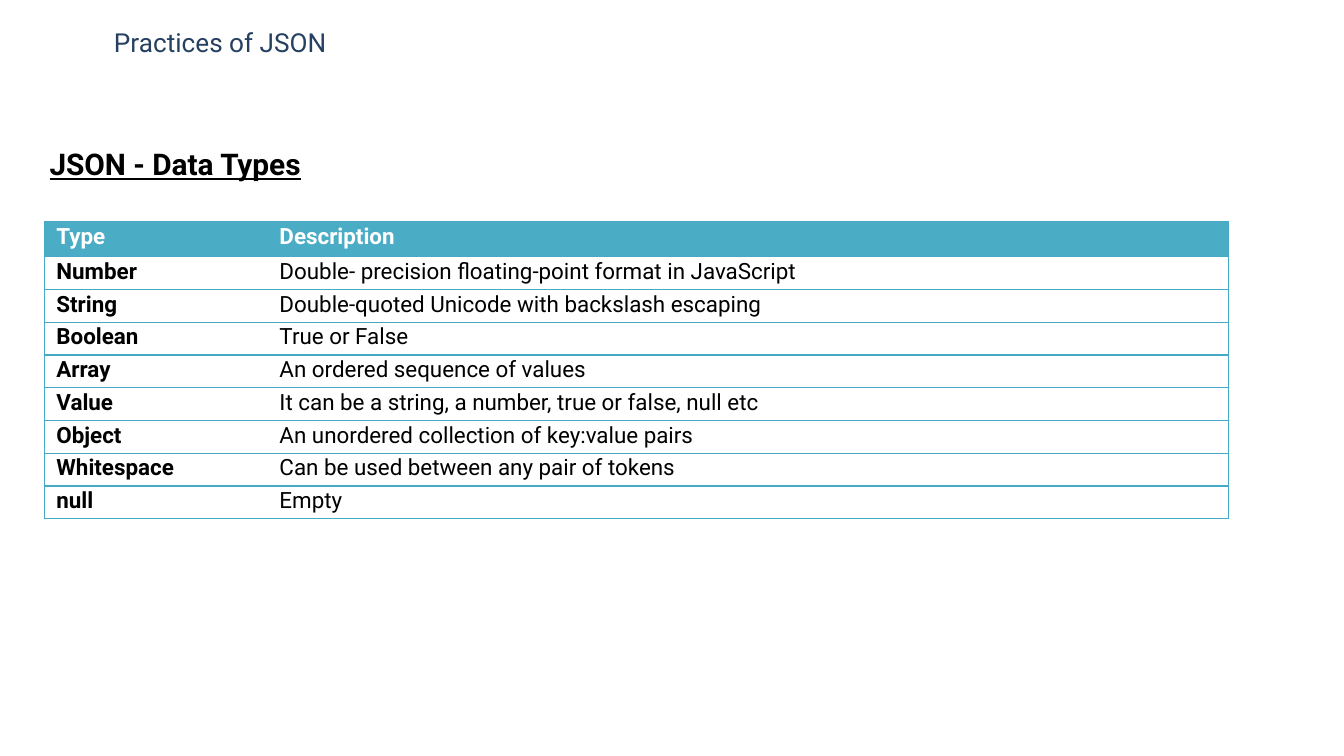
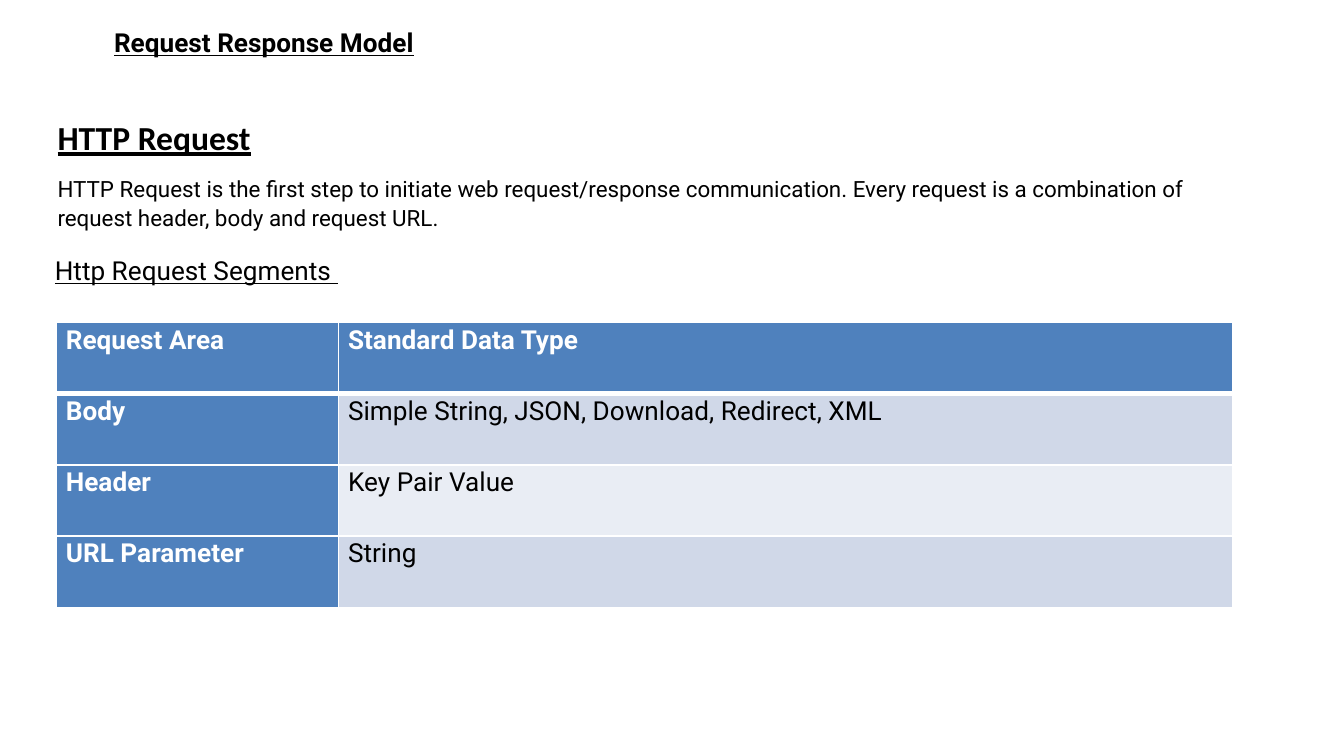
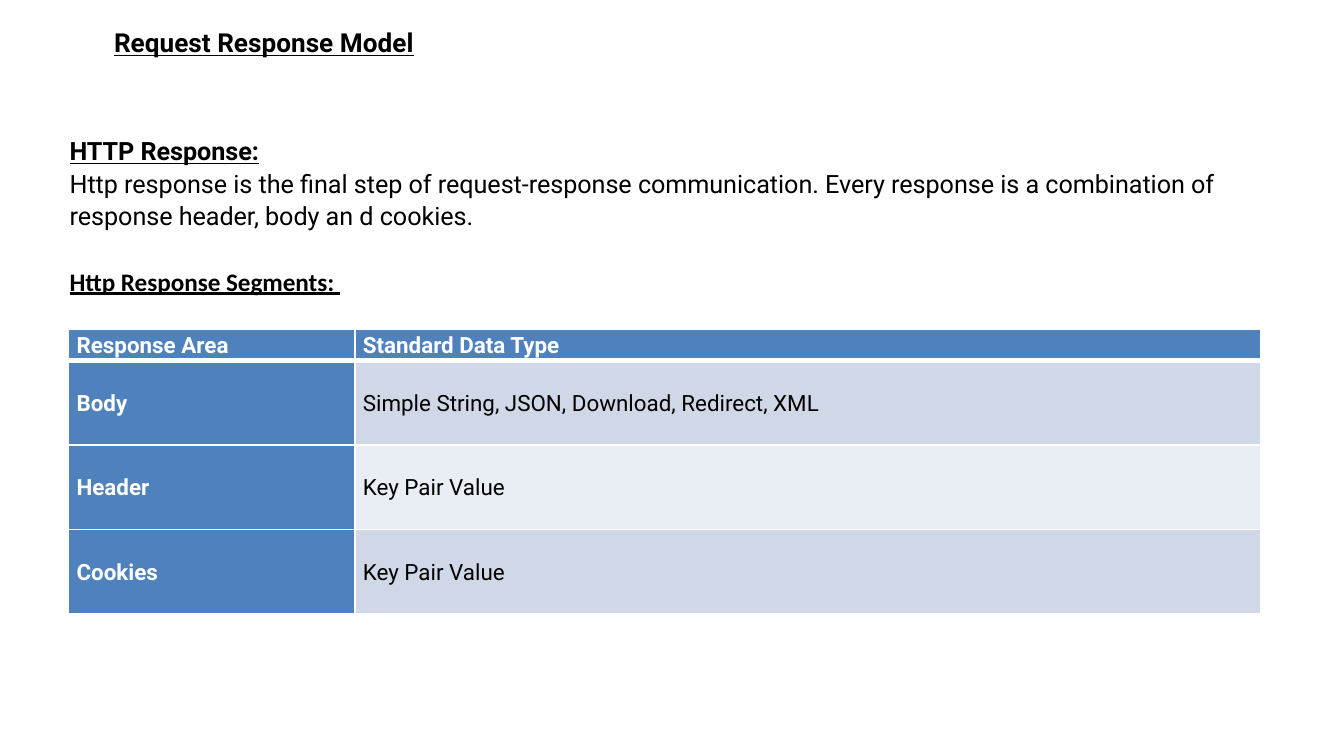
import lxml.etree
import pptx
import pptx.dml.color
import pptx.enum.text
import pptx.oxml.ns
import pptx.util

# Shared look
FONT, HEADING_FONT = "Roboto", "Calibri"
BLACK, WHITE, NAVY = "000000", "FFFFFF", "254061"
TEAL, TEAL_LINE, BLUE = "4BACC6", "46AAC5", "4F81BD"
BANDS = ["E9EDF4", "D0D8E8"]
LINE_SPACING = 1.07
TITLE_LEFT, TITLE_TOP, TITLE_HEIGHT = 7.5, 1.5, 3.4
color = pptx.dml.color.RGBColor.from_string
qn = pptx.oxml.ns.qn

deck = pptx.Presentation()
deck.slide_width = pptx.util.Inches(10)
deck.slide_height = pptx.util.Inches(5.625)
UNIT = deck.slide_width // 100  # square grid, 100 columns wide


def write(para, text, size, ink=BLACK, bold=False, underline=False,
          font=FONT, spacing=LINE_SPACING, after=0):
    para.add_run().text = text
    para.line_spacing = spacing
    para.space_after = pptx.util.Pt(after)
    para.font.name = font
    para.font.size = pptx.util.Pt(size)
    para.font.bold = bold
    para.font.underline = underline
    para.font.color.rgb = color(ink)


def draw_edge(cell, side, ink, width):
    line = lxml.etree.SubElement(cell._tc.get_or_add_tcPr(), qn("a:ln" + side))
    line.set("w", str(pptx.util.Pt(width)))
    if width:
        fill = lxml.etree.SubElement(line, qn("a:solidFill"))
        lxml.etree.SubElement(fill, qn("a:srgbClr")).set("val", ink)
    else:
        lxml.etree.SubElement(line, qn("a:noFill"))


# Slide contents: places are left, top, width, height in grid units
heading = dict(bold=True, underline=True)
model_title = dict(text="Request Response Model", width=24.5, style=heading)
slides = [
    dict(
        title=dict(text="Practices of JSON", width=18, style=dict(ink=NAVY)),
        boxes=[((2.7, 10.2, 28.8, 3.7),
                [("JSON - Data Types", dict(size=16, after=8, **heading))])],
        table=dict(
            left=3.3, top=16.5, columns=[16.6, 71.5], rows=[2.6] + [2.44] * 8,
            size=12, inset=0.9, anchor="TOP", banded=False,
            cells=[("Type", "Description"),
                   ("Number", "Double- precision floating-point format in JavaScript"),
                   ("String", "Double-quoted Unicode with backslash escaping"),
                   ("Boolean", "True or False"),
                   ("Array", "An ordered sequence of values"),
                   ("Value", "It can be a string, a number, true or false, null etc"),
                   ("Object", "An unordered collection of key:value pairs"),
                   ("Whitespace", "Can be used between any pair of tokens"),
                   ("null", "Empty")])),
    dict(
        title=model_title,
        boxes=[((3.3, 8, 66.7, 4.1),
                [("HTTP Request", dict(size=18, font=HEADING_FONT, **heading))]),
               ((3.3, 12.4, 92, 5.3),
                [("HTTP Request is the first step to initiate web request/response "
                  "communication. Every request is a combination of", dict(size=12)),
                 ("request header, body and request URL.", dict(size=12))]),
               ((3.1, 18.3, 66.6, 3.4),
                [("Http Request Segments ", dict(size=14, underline=True, after=8))])],
        table=dict(
            left=4.2, top=24, columns=[21, 66.5], rows=[5.3] * 4,
            size=14, inset=0.7, anchor="TOP", banded=True,
            cells=[("Request Area", "Standard Data Type"),
                   ("Body", "Simple String, JSON, Download, Redirect, XML"),
                   ("Header", "Key Pair Value"),
                   ("URL Parameter", "String")])),
    dict(
        title=model_title,
        boxes=[((4.2, 9.6, 88.7, 11.4),
                [("HTTP Response:", dict(size=13.5, spacing=1, **heading)),
                 ("Http response is the final step of request-response communication. "
                  "Every response is a combination of response header, body an d cookies.",
                  dict(size=13.5, after=6))]),
               ((4.2, 19.3, 88.7, 3.3),
                [("Http Response Segments: ",
                  dict(size=13.5, font=HEADING_FONT, spacing=1, **heading))])],
        table=dict(
            left=5.1, top=24.5, columns=[21.3, 67.4], rows=[2.3] + [6.3] * 3,
            size=12, inset=0.6, anchor="MIDDLE", banded=True,
            cells=[("Response Area", "Standard Data Type"),
                   ("Body", "Simple String, JSON, Download, Redirect, XML"),
                   ("Header", "Key Pair Value"),
                   ("Cookies", "Key Pair Value")])),
]

for content in slides:
    page = deck.slides.add_slide(deck.slide_layouts[6])

    # Title and text boxes
    title = content["title"]
    title_place = (TITLE_LEFT, TITLE_TOP, title["width"], TITLE_HEIGHT)
    title_line = (title["text"], dict(size=14, spacing=1, **title["style"]))
    for place, lines in [(title_place, [title_line])] + content["boxes"]:
        box = page.shapes.add_textbox(*[int(length * UNIT) for length in place])
        frame = box.text_frame
        frame.word_wrap = place != title_place
        frame.auto_size = pptx.enum.text.MSO_AUTO_SIZE.SHAPE_TO_FIT_TEXT
        for index, (text, style) in enumerate(lines):
            para = frame.add_paragraph() if index else frame.paragraphs[0]
            write(para, text, **style)

    # Table grid
    spec_table = content["table"]
    columns, rows = spec_table["columns"], spec_table["rows"]
    table = page.shapes.add_table(
        len(rows), len(columns),
        int(spec_table["left"] * UNIT), int(spec_table["top"] * UNIT),
        int(sum(columns) * UNIT), int(sum(rows) * UNIT)).table
    for column, width in zip(table.columns, columns):
        column.width = int(width * UNIT)
    for row, height in zip(table.rows, rows):
        row.height = int(height * UNIT)

    # Table cells
    banded = spec_table["banded"]
    for r, texts in enumerate(spec_table["cells"]):
        for c, text in enumerate(texts):
            cell = table.cell(r, c)
            cell.margin_left = cell.margin_right = int(spec_table["inset"] * UNIT)
            cell.margin_top = cell.margin_bottom = 0
            cell.vertical_anchor = pptx.enum.text.MSO_ANCHOR[spec_table["anchor"]]
            label = r == 0 or c == 0
            light = r == 0 or (banded and c == 0)
            write(cell.text_frame.paragraphs[0], text, spec_table["size"],
                  ink=WHITE if light else BLACK, bold=label)
            for side in "LRTB":
                if banded:
                    under_header = (r, side) in [(0, "B"), (1, "T")]
                    draw_edge(cell, side, WHITE, 3 if under_header else 1)
                else:
                    inner = (c, side) in [(0, "R"), (1, "L")]
                    draw_edge(cell, side, TEAL_LINE, 0 if inner else 0.75)
            if banded or r == 0:
                cell.fill.solid()
                accent = BLUE if banded else TEAL
                cell.fill.fore_color.rgb = color(accent if label else BANDS[r % 2])
            else:
                cell.fill.background()

deck.save("out.pptx")
